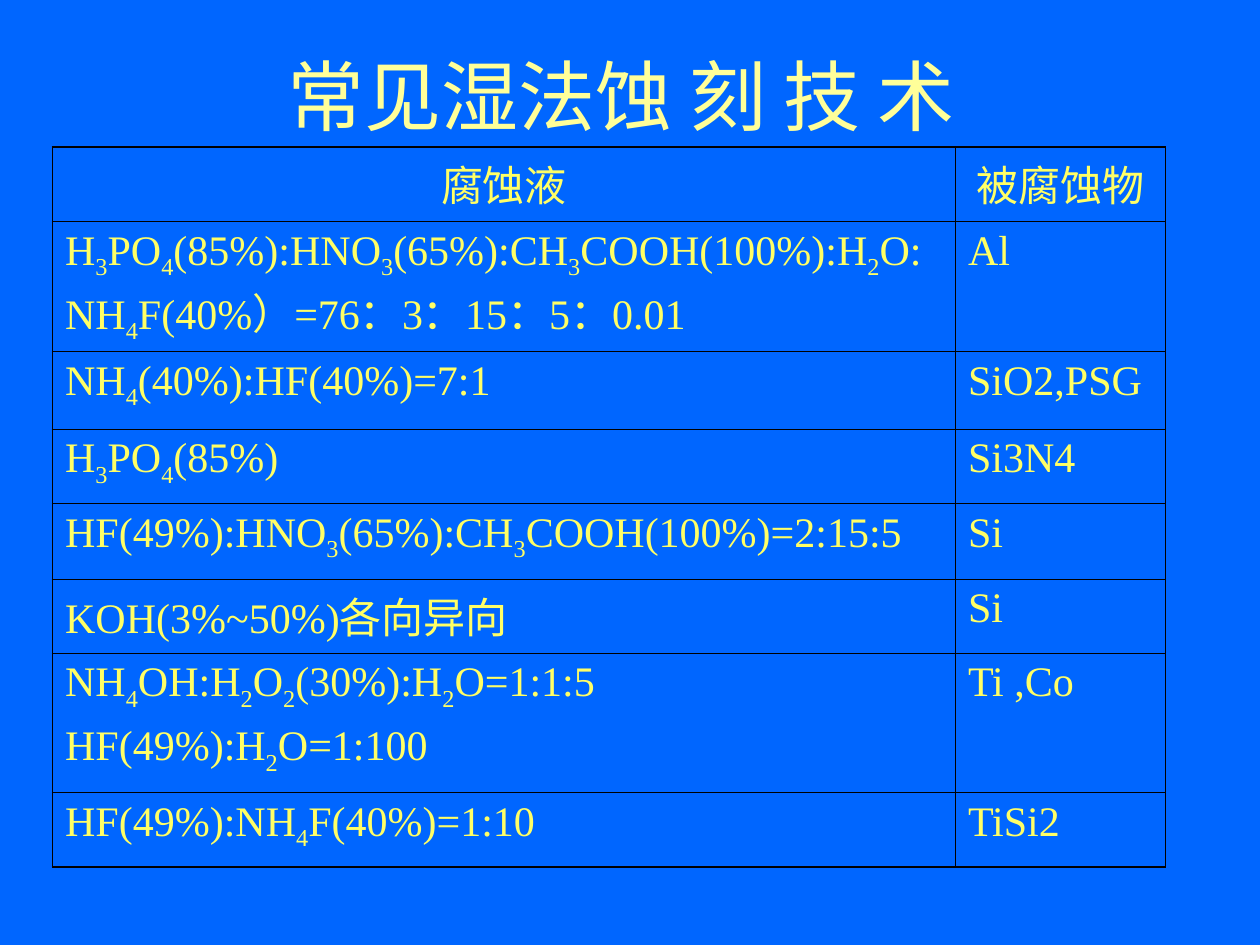
from lxml import etree
from pptx import Presentation
from pptx.dml.color import RGBColor
from pptx.enum import text
from pptx.oxml import ns
from pptx.util import Pt

BACKGROUND = RGBColor(0x00, 0x66, 0xFF)
TITLE_COLOR = RGBColor(0xFF, 0xFF, 0x99)
BODY_COLOR = RGBColor(0xFF, 0xFF, 0x66)
BORDER_COLOR = RGBColor(0x00, 0x00, 0x00)
CHINESE_FONT = "Noto Sans CJK SC"
LATIN_FONT = "Times New Roman"
OUTER_LINE, INNER_LINE = Pt(1.08), Pt(0.45)

HEADINGS = ("腐蚀液", "被腐蚀物")
ETCHES = (
    (("H_3PO_4(85%):HNO_3(65%):CH_3COOH(100%):H_2O:NH_4F(40%）=76：3：15：5：0.01",), "Al"),
    (("NH_4(40%):HF(40%)=7:1",), "SiO2,PSG"),
    (("H_3PO_4(85%)",), "Si3N4"),
    (("HF(49%):HNO_3(65%):CH_3COOH(100%)=2:15:5",), "Si"),
    (("KOH(3%~50%)各向异向",), "Si"),
    (("NH_4OH:H_2O_2(30%):H_2O=1:1:5", "HF(49%):H_2O=1:100"), "Ti ,Co"),
    (("HF(49%):NH_4F(40%)=1:10",), "TiSi2"),
)
COLUMN_WIDTHS = (516, 120)
ROW_HEIGHTS = (42.5, 73, 44.5, 42.5, 43, 42.5, 79.5, 42.5)


def add_run(paragraph, words, size, color, latin, subscript=False):
    """Append one formatted run, lowered when it is a subscript."""
    run = paragraph.add_run()
    run.text = words
    run.font.size = Pt(size)
    run.font.name = latin
    run.font.color.rgb = color
    properties = run.font._element
    etree.SubElement(properties, ns.qn("a:ea")).set("typeface", CHINESE_FONT)
    if subscript:
        properties.set("baseline", "-25000")


def add_formula(paragraph, formula):
    """Write a formula in which each underscore lowers the next digit."""
    start, *parts = formula.split("_")
    add_run(paragraph, start, 24, BODY_COLOR, LATIN_FONT)
    for part in parts:
        add_run(paragraph, part[0], 24, BODY_COLOR, LATIN_FONT, subscript=True)
        add_run(paragraph, part[1:], 24, BODY_COLOR, LATIN_FONT)


def add_borders(cell, outer_sides):
    """Draw the four cell borders, thicker on the table's outer sides."""
    properties = cell._tc.get_or_add_tcPr()
    for side in "LRTB":
        width = OUTER_LINE if side in outer_sides else INNER_LINE
        line = etree.SubElement(properties, ns.qn(f"a:ln{side}"), w=str(width))
        fill = etree.SubElement(line, ns.qn("a:solidFill"))
        etree.SubElement(fill, ns.qn("a:srgbClr"), val=str(BORDER_COLOR))


def fill_cell(cell, formulas, alignment, outer_sides):
    """Write one paragraph per formula and format the cell."""
    add_borders(cell, outer_sides)
    cell.fill.background()
    cell.vertical_anchor = text.MSO_ANCHOR.TOP
    frame = cell.text_frame
    for index, formula in enumerate(formulas):
        paragraph = frame.add_paragraph() if index else frame.paragraphs[0]
        paragraph.alignment = alignment
        if index:
            paragraph.space_before = Pt(6)
        add_formula(paragraph, formula)


def place_title(slide, left, top, width, height):
    """Place and write the slide title."""
    title = slide.shapes.title
    title.left, title.top, title.width, title.height = map(Pt, (left, top, width, height))
    frame = title.text_frame
    frame.vertical_anchor = text.MSO_ANCHOR.MIDDLE
    paragraph = frame.paragraphs[0]
    paragraph.alignment = text.PP_ALIGN.CENTER
    add_run(paragraph, "常见湿法蚀 刻 技 术 ", 44, TITLE_COLOR, CHINESE_FONT)


def place_etch_table(slide, left, top, width, height):
    """Place the table of etchants and the materials they etch."""
    rows = [tuple((heading,) for heading in HEADINGS)]
    rows += [(etchant, (material,)) for etchant, material in ETCHES]
    table = slide.shapes.add_table(
        len(rows), len(HEADINGS), Pt(left), Pt(top), Pt(width), Pt(height)
    ).table
    table.first_row = table.horz_banding = False
    for column, share in zip(table.columns, COLUMN_WIDTHS):
        column.width = Pt(width * share / sum(COLUMN_WIDTHS))
    for row, share in zip(table.rows, ROW_HEIGHTS):
        row.height = Pt(height * share / sum(ROW_HEIGHTS))
    for r, row in enumerate(rows):
        alignment = text.PP_ALIGN.LEFT if r else text.PP_ALIGN.CENTER
        vertical_side = {0: "T", len(rows) - 1: "B"}.get(r, "")
        for c, formulas in enumerate(row):
            fill_cell(table.cell(r, c), formulas, alignment, "LR"[c] + vertical_side)


def main():
    """Build the slide and save it."""
    presentation = Presentation()
    presentation.slide_width, presentation.slide_height = Pt(720), Pt(540)
    slide = presentation.slides.add_slide(presentation.slide_layouts[5])
    slide.background.fill.solid()
    slide.background.fill.fore_color.rgb = BACKGROUND
    place_title(slide, 54, 18, 612, 72)
    place_etch_table(slide, 30, 84, sum(COLUMN_WIDTHS), sum(ROW_HEIGHTS))
    presentation.save("out.pptx")


if __name__ == "__main__":
    main()
